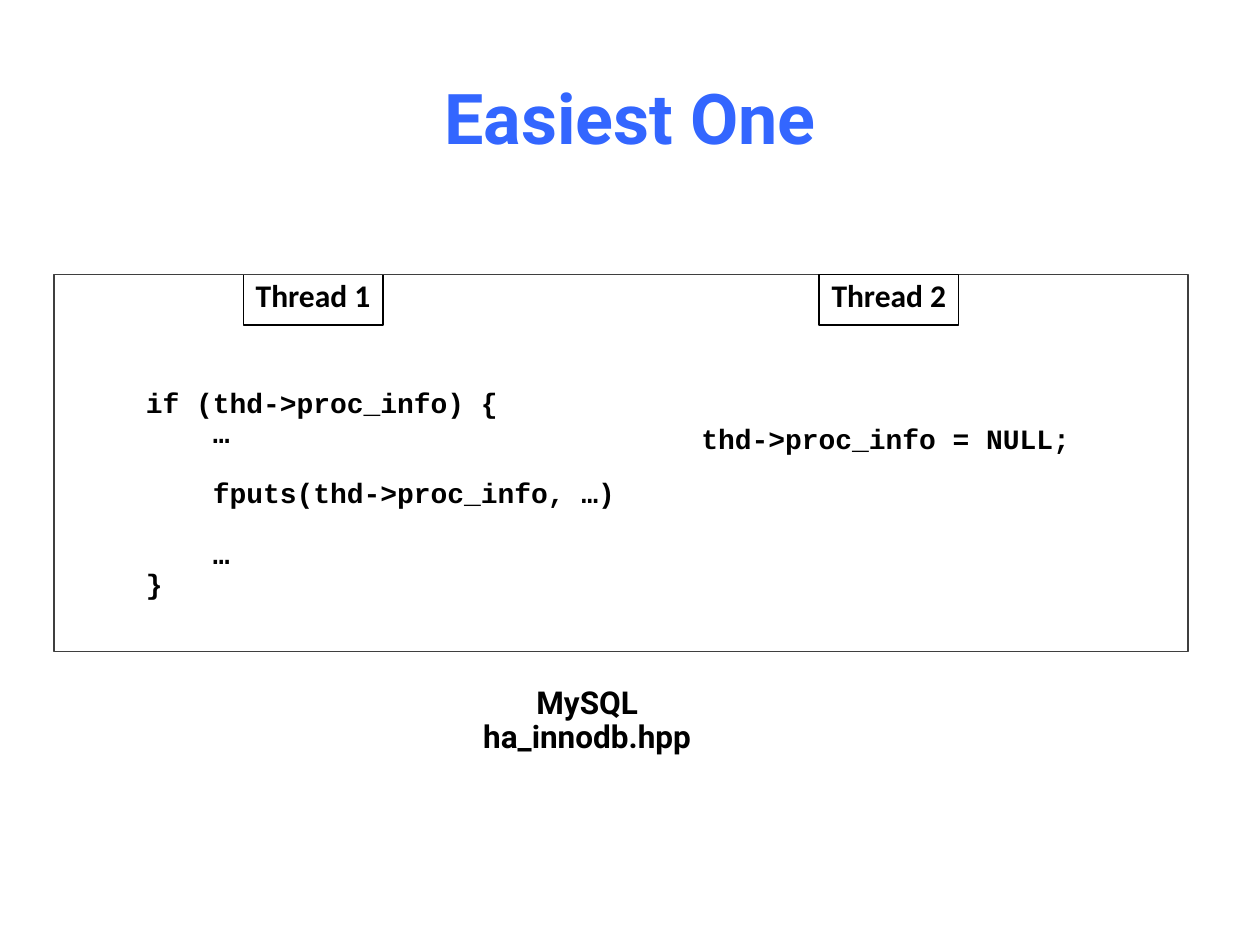
from dataclasses import dataclass

from pptx import Presentation
from pptx.dml.color import RGBColor
from pptx.enum.shapes import MSO_SHAPE as Shape
from pptx.enum.text import MSO_ANCHOR as Anchor, MSO_AUTO_SIZE as AutoSize, PP_ALIGN as Align
from pptx.util import Inches, Pt

WIDTH, HEIGHT = 10, 7.5
COLUMN, ROW = WIDTH / 100, HEIGHT / 100
COLORS = {"title": "3366FF", "text": "000000", "frame": "3F3F3F", "label": "FFFFFF"}
CODE_FONT = "Courier New"
CODE_GAP = 17.4
FRAME_TOP = 29.05


@dataclass
class Box:
    column: float
    row: float
    columns: float
    rows: float

    def emu(self) -> tuple:
        return (Inches(self.column * COLUMN), Inches(self.row * ROW),
                Inches(self.columns * COLUMN), Inches(self.rows * ROW))


@dataclass
class Line:
    text: str
    gap: float = 0


@dataclass
class Block:
    box: Box
    lines: list[Line]
    font: str
    size: float
    align: Align = Align.CENTER


def rgb(name: str) -> RGBColor:
    return RGBColor.from_string(COLORS[name])


def style(p, font: str, size: float, color: str, align: Align) -> None:
    p.alignment = align
    p.font.name, p.font.size, p.font.bold = font, Pt(size), True
    p.font.color.rgb = rgb(color)


def write(sp, block: Block) -> None:
    tf = sp.text_frame
    tf.word_wrap = False
    tf.auto_size = AutoSize.SHAPE_TO_FIT_TEXT
    tf.vertical_anchor = Anchor.TOP
    for i, line in enumerate(block.lines):
        p = tf.add_paragraph() if i else tf.paragraphs[0]
        p.text = line.text
        p.line_spacing = 0.9
        if line.gap:
            p.space_before = Pt(line.gap)
        style(p, block.font, block.size, "text", block.align)


def add_text(slide, block: Block):
    sp = slide.shapes.add_textbox(*block.box.emu())
    write(sp, block)
    return sp


def add_rect(slide, box: Box, line: str, fill: str | None = None):
    sp = slide.shapes.add_shape(Shape.RECTANGLE, *box.emu())
    sp.shadow.inherit = False
    if fill:
        sp.fill.solid()
        sp.fill.fore_color.rgb = rgb(fill)
    else:
        sp.fill.background()
    sp.line.color.rgb = rgb(line)
    sp.line.width = Pt(0.75)
    return sp


def add_label(slide, text: str, column: float) -> None:
    box = Box(column, FRAME_TOP, 11.1, 5.35)
    sp = add_rect(slide, box, "text", "label")
    write(sp, Block(box, [Line(text)], "Calibri", 18))
    tf = sp.text_frame
    tf.auto_size = AutoSize.NONE
    tf.margin_left = tf.margin_right = 0


def add_title(slide, text: str) -> None:
    sp = slide.shapes.title
    sp.left, sp.top, sp.width, sp.height = Box(5, 4, 90, 16.67).emu()
    sp.text_frame.text = text
    sp.text_frame.vertical_anchor = Anchor.MIDDLE
    style(sp.text_frame.paragraphs[0], "Roboto", 40, "title", Align.CENTER)


def add_caption(slide, text: str) -> None:
    block = Block(Box(37.4, 72.1, 25.4, 5.35), [Line(text)], "Roboto", 18)
    tf = add_text(slide, block).text_frame
    tf.word_wrap = True
    tf.auto_size = AutoSize.NONE
    tf.margin_left, tf.margin_right = Inches(0.05), Inches(0.75)


def main() -> None:
    prs = Presentation()
    prs.slide_width, prs.slide_height = Inches(WIDTH), Inches(HEIGHT)
    slide = prs.slides.add_slide(prs.slide_layouts[5])

    add_title(slide, "Easiest One")
    add_label(slide, "Thread 1", 19.3)
    add_text(slide, Block(Box(10.6, 40.5, 39.8, 24), [
        Line("if (thd->proc_info) {"),
        Line("    …"),
        Line("    fputs(thd->proc_info, …)", CODE_GAP),
        Line("    …", CODE_GAP),
        Line("}"),
    ], CODE_FONT, 16, Align.LEFT))
    add_text(slide, Block(Box(54.5, 44.4, 31.6, 4.9),
                          [Line("thd->proc_info = NULL;")], CODE_FONT, 16))
    add_caption(slide, "MySQL ha_innodb.hpp")
    add_rect(slide, Box(4.3, FRAME_TOP, 90, 39.9), "frame")
    add_label(slide, "Thread 2", 65)
    prs.save("out.pptx")


if __name__ == "__main__":
    main()
